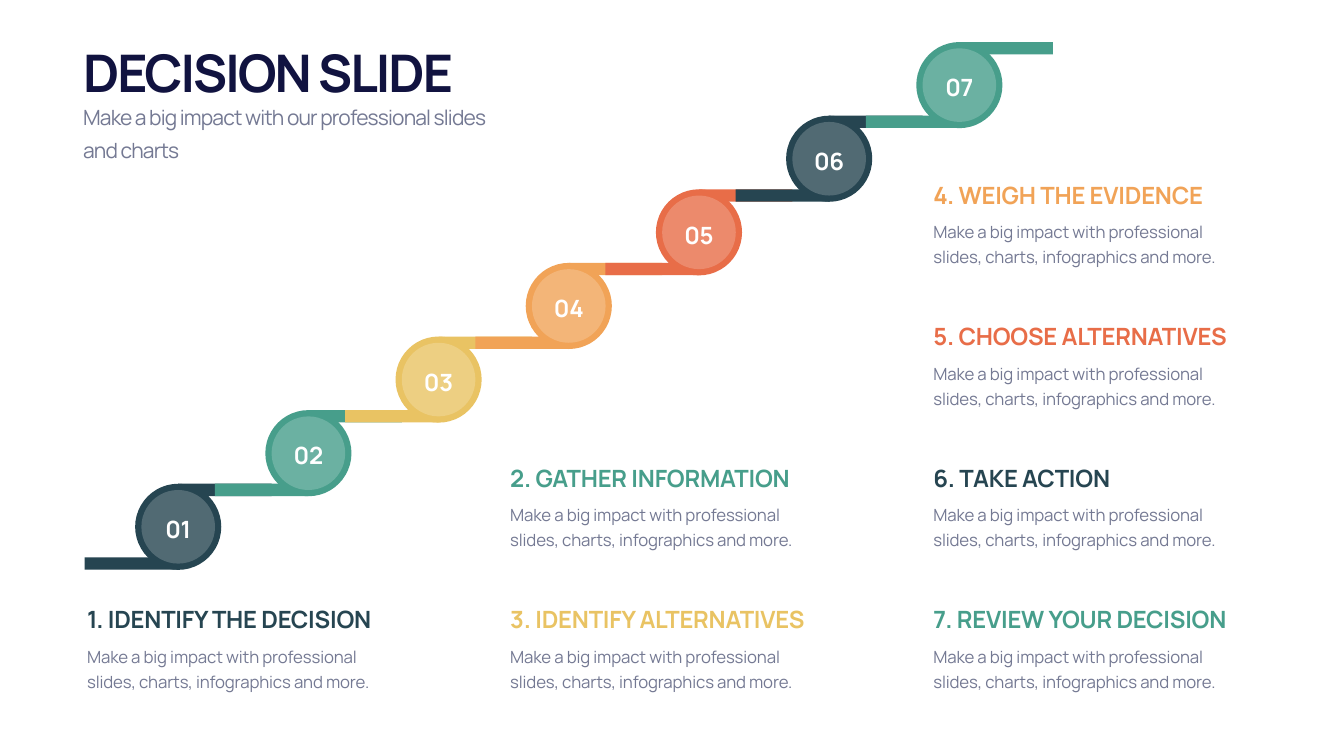
from lxml import etree
from pptx import Presentation
from pptx.dml.color import RGBColor as RGB
from pptx.enum.shapes import MSO_SHAPE as Form
from pptx.enum.text import MSO_ANCHOR as Anchor, MSO_AUTO_SIZE as Fit, PP_ALIGN as Align
from pptx.oxml.ns import qn
from pptx.util import Cm, Pt

NAVY = RGB(0x11, 0x13, 0x40)
GRAY = RGB(0x74, 0x79, 0x93)
WHITE = RGB(0xFF, 0xFF, 0xFF)
SLATE = RGB(0x26, 0x45, 0x51)
GREEN = RGB(0x47, 0x9E, 0x8B)
GOLD = RGB(0xE9, 0xC3, 0x63)
AMBER = RGB(0xF1, 0xA3, 0x57)
CORAL = RGB(0xE8, 0x6D, 0x48)


class Deck:
    face = "Manrope"
    run = 6.56
    rise = 3.71
    ring = 4.34
    bar = 4.71
    thick = 0.62

    def __init__(self, width, height):
        self.show = Presentation()
        self.show.slide_width = Cm(width)
        self.show.slide_height = Cm(height)
        self.slide = self.show.slides.add_slide(self.show.slide_layouts[6])

    def shape(self, form, left, top, width, height, color, alpha=None):
        item = self.slide.shapes.add_shape(form, Cm(left), Cm(top), Cm(width), Cm(height))
        item.shadow.inherit = False
        item.line.fill.background()
        item.fill.solid()
        item.fill.fore_color.rgb = color
        if alpha:
            tint = item.fill._xPr.find(qn("a:solidFill"))[0]
            etree.SubElement(tint, qn("a:alpha")).set("val", str(alpha * 1000))

    def text(self, words, left, top, width, height, size, color, track,
             bold=False, anchor=Anchor.TOP, align=Align.LEFT, lead=None):
        frame = self.slide.shapes.add_textbox(
            Cm(left), Cm(top), Cm(width), Cm(height)).text_frame
        frame.word_wrap = True
        frame.auto_size = Fit.SHAPE_TO_FIT_TEXT
        frame.vertical_anchor = anchor
        para = frame.paragraphs[0]
        para.text = words
        para.alignment = align
        if lead:
            para.line_spacing = Pt(lead)
        font = para.font
        font.name = self.face
        font.size = Pt(size)
        font.bold = bold
        font.color.rgb = color
        font._rPr.set("spc", str(track))

    def step(self, order, color):
        mid = 8.98 + order * self.run
        top = 24.38 - order * self.rise
        self.shape(Form.RECTANGLE, mid, top, self.bar, self.thick, color)
        self.shape(Form.RECTANGLE, mid - self.bar, top + self.rise, self.bar, self.thick, color)
        gap = (self.ring - self.rise) / 2
        for size, inset, tint, alpha in ((self.ring, 0, color, None),
                                         (self.rise, gap, WHITE, 20)):
            self.shape(Form.OVAL, mid - size / 2, top + inset, size, size, tint, alpha)
        self.text(f"{order + 1:02}", mid - 1.65, top + 1.43, 3.3, 1.7, 34, WHITE, -30,
                  bold=True, anchor=Anchor.MIDDLE, align=Align.CENTER)

    def card(self, head, color, col, row):
        left = 4.14 + col * 21.32
        top = 8.97 + row * 7.13
        self.text(head, left, top, 16.43, 1.7, 34, color, -30,
                  bold=True, anchor=Anchor.BOTTOM)
        self.text("Make a big impact with professional slides, charts, infographics and more.",
                  left, top + 1.83, 16.43, 2.77, 24, GRAY, -20, lead=36)


STEPS = [
    ("IDENTIFY THE DECISION", SLATE, 0, 3),
    ("GATHER INFORMATION", GREEN, 1, 2),
    ("IDENTIFY ALTERNATIVES", GOLD, 1, 3),
    ("WEIGH THE EVIDENCE", AMBER, 2, 0),
    ("CHOOSE ALTERNATIVES", CORAL, 2, 1),
    ("TAKE ACTION", SLATE, 2, 2),
    ("REVIEW YOUR DECISION", GREEN, 2, 3),
]

deck = Deck(67.72, 38.1)
for order, (head, color, col, row) in enumerate(STEPS):
    deck.step(order, color)
    deck.card(f"{order + 1}. {head}", color, col, row)
deck.text("DECISION SLIDE", 3.94, 1.88, 20.96, 3.43, 74, NAVY, -290,
          bold=True, anchor=Anchor.BOTTOM)
deck.text("Make a big impact with our professional slides and charts",
          3.94, 4.75, 20.96, 3.51, 30, GRAY, -120, lead=47)
deck.show.save("out.pptx")
